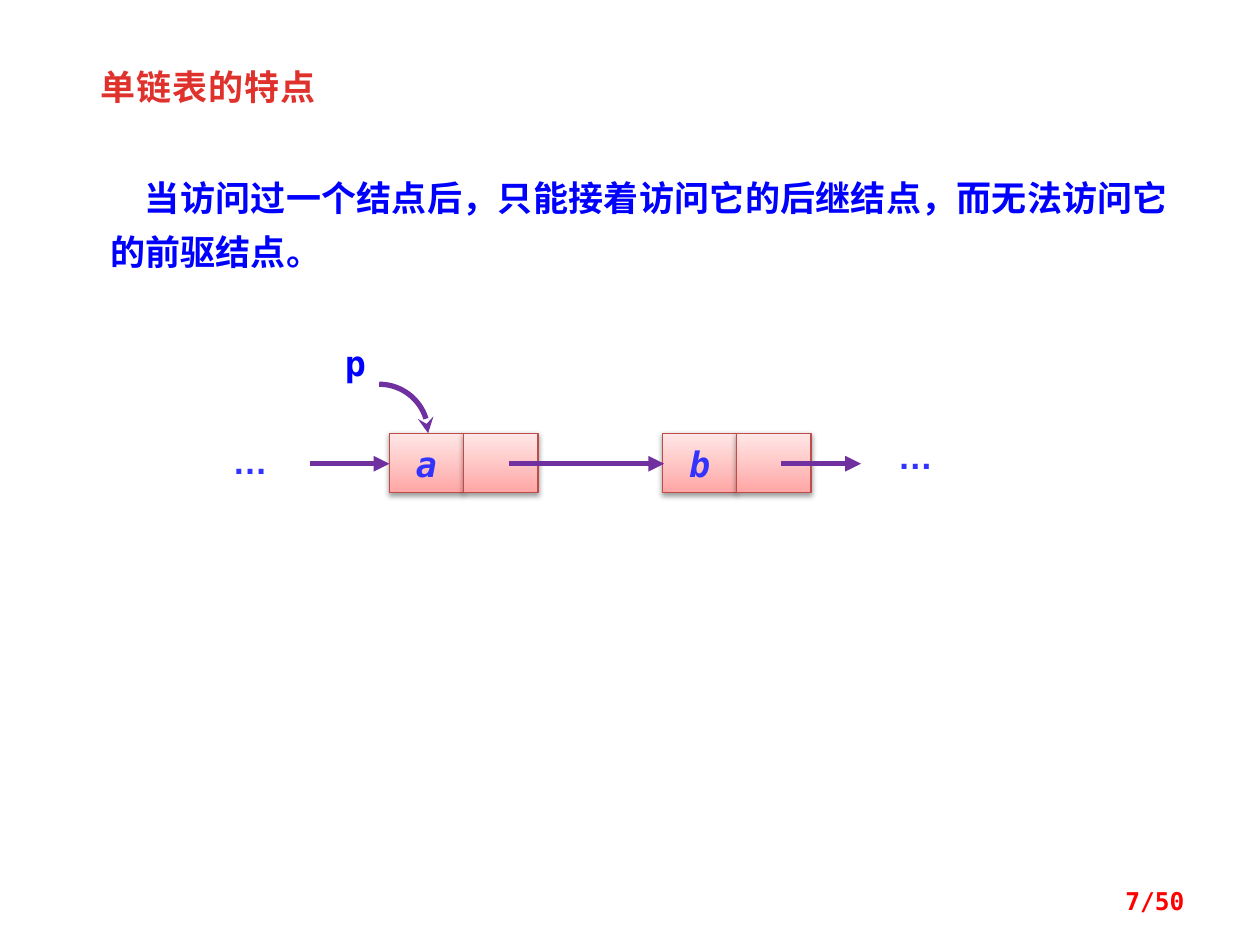
import math
from lxml import etree
from pptx import Presentation
from pptx.dml.color import RGBColor
from pptx.enum import shapes, text
from pptx.oxml.ns import qn
from pptx.util import Pt

COLORS = {
    "title": "E0322D", "body": "0000FF", "label": "3333FF", "arrow": "7030A0",
    "edge": "BF4C48", "bottom": "FFA6A5", "top": "FFE7E7", "number": "FF0000",
    "shadow": "000000",
}
MONO = "DejaVu Sans Mono"


def color(name):
    return RGBColor.from_string(COLORS[name])


class Builder:
    def __init__(self, page):
        self.page = page
        self.size = 20
        self.stroke = 3

    def style(self, para, shade, font=MONO, size=None, italic=False):
        para.font.name = font
        para.font.size = Pt(size or self.size)
        para.font.bold = True
        para.font.italic = italic
        para.font.color.rgb = color(shade)

    def label(self, words, left, top, width, height, shade, align="LEFT", **style):
        box = self.page.shapes.add_textbox(Pt(left), Pt(top), Pt(width), Pt(height))
        box.text_frame.word_wrap = True
        para = box.text_frame.paragraphs[0]
        para.text = words
        para.alignment = getattr(text.PP_ALIGN, align)
        self.style(para, shade, **style)
        return box

    def cell(self, left, top, width, height, words=""):
        box = self.page.shapes.add_shape(
            shapes.MSO_SHAPE.RECTANGLE, Pt(left), Pt(top), Pt(width), Pt(height))
        box.fill.gradient()
        box.fill.gradient_angle = 90
        for stop, shade in zip(box.fill.gradient_stops, ("bottom", "top")):
            stop.color.rgb = color(shade)
        box.line.color.rgb = color("edge")
        box.line.width = Pt(0.75)
        self.shadow(box)
        if words:
            frame = box.text_frame
            frame.word_wrap = False
            frame.vertical_anchor = text.MSO_ANCHOR.MIDDLE
            para = frame.paragraphs[0]
            para.text = words
            para.alignment = text.PP_ALIGN.CENTER
            self.style(para, "label", italic=True)

    def shadow(self, box):
        effects = etree.SubElement(box._element.spPr, qn("a:effectLst"))
        outer = etree.SubElement(
            effects, qn("a:outerShdw"), blurRad=str(Pt(3.1)), dist=str(Pt(1.6)),
            dir="5400000", rotWithShape="0")
        shade = etree.SubElement(outer, qn("a:srgbClr"), val=COLORS["shadow"])
        etree.SubElement(shade, qn("a:alpha"), val="38000")

    def finish_arrow(self, shape, head):
        shape.line.color.rgb = color("arrow")
        shape.line.width = Pt(self.stroke)
        etree.SubElement(shape.line._get_or_add_ln(), qn("a:tailEnd"), type=head)

    def arrow(self, start, end, y):
        line = self.page.shapes.add_connector(
            shapes.MSO_CONNECTOR.STRAIGHT, Pt(start), Pt(y), Pt(end), Pt(y))
        self.finish_arrow(line, "triangle")
        etree.SubElement(line._element.spPr, qn("a:effectLst"))

    def quarter_arrow(self, left, top, radius, steps=24):
        angles = [math.pi / 2 * step / steps for step in range(steps + 1)]
        points = [(Pt(left + radius * math.sin(angle)),
                   Pt(top + radius * (1 - math.cos(angle)))) for angle in angles]
        outline = self.page.shapes.build_freeform(*points[0])
        outline.add_line_segments(points[1:], close=False)
        curve = outline.convert_to_shape()
        curve.fill.background()
        curve.shadow.inherit = False
        self.finish_arrow(curve, "stealth")


def main():
    deck = Presentation()
    deck.slide_width, deck.slide_height = Pt(720), Pt(540)
    build = Builder(deck.slides.add_slide(deck.slide_layouts[6]))

    title = build.label("单链表的特点", 50.4, 33.8, 196.6, 31.7, "title")
    title.text_frame.paragraphs[0].runs[0].font._element.set("spc", "50")

    body = build.label("当访问过一个结点后，只能接着访问它的后继结点，而无法访问它的前驱结点。",
                       56.2, 90, 618.5, 70.6, "body", "JUSTIFY")
    para = body.text_frame.paragraphs[0]
    para.line_spacing = 1.3
    para._p.get_or_add_pPr().set("indent", str(Pt(19.5)))

    width, height, top = 42.5, 34, 247.6
    for left, name in ((222.5, "a"), (378.5, "b")):
        build.cell(left, top, width, height, name)
        build.cell(left + width, top, width, height)

    build.label("p", 190, 191.5, 34, 31.7, "body")
    build.quarter_arrow(216.7, 219.6, 28)
    for left, y in ((120.2, 247.6), (500.4, 244.8)):
        build.label("…", left, y, 45.4, 31.7, "label", "CENTER", font="Arial")
    for start, end in ((177, 222.5), (291, 379.5), (446.5, 492)):
        build.arrow(start, end, 265)

    number = build.label("7/50", 516.2, 500.4, 167.8, 28.8, "number", "RIGHT", size=14)
    number.text_frame.vertical_anchor = text.MSO_ANCHOR.MIDDLE
    deck.save("out.pptx")


if __name__ == "__main__":
    main()
